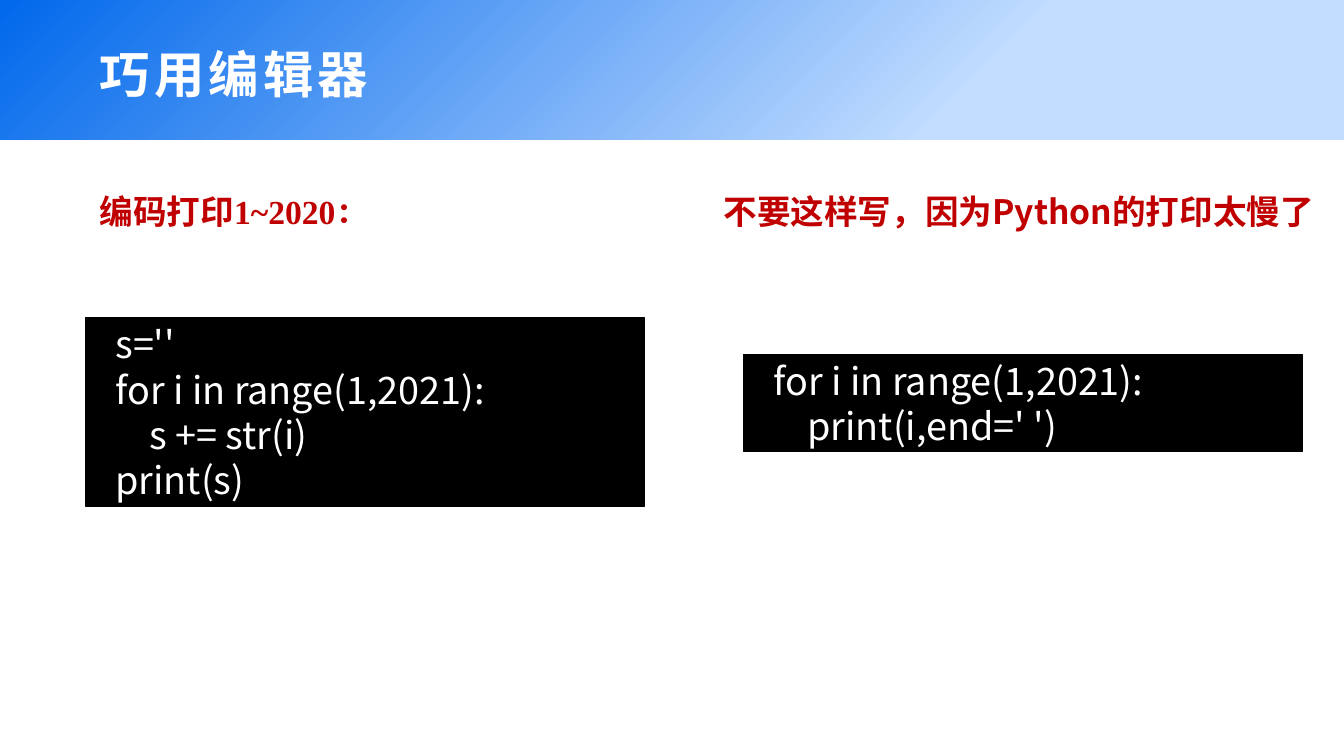
"""Build the slide on using the editor well: two ways to print 1 to 2020."""
from pptx import Presentation
from pptx.dml.color import RGBColor
from pptx.enum.shapes import MSO_SHAPE as Shape
from pptx.enum.text import MSO_ANCHOR as Anchor, MSO_AUTO_SIZE as AutoSize, PP_ALIGN as Align
from pptx.oxml.ns import qn
from pptx.util import Inches, Pt

WHITE = RGBColor(0xFF, 0xFF, 0xFF)
BLACK = RGBColor(0x00, 0x00, 0x00)
RED = RGBColor(0xC0, 0x00, 0x00)
BLUE = RGBColor(0x01, 0x68, 0xEB)
PALE_BLUE = RGBColor(0xC2, 0xDD, 0xFF)
SANS = "Noto Sans CJK SC"
SERIF = "Times New Roman"


def write(paragraph, text, size, color, bold=False, font=SANS, spacing=0, indent=0):
    paragraph.alignment = Align.LEFT
    paragraph.line_spacing = Pt(size * 1.2)
    properties = paragraph._p.get_or_add_pPr()
    properties.set("marL", "0")
    properties.set("indent", str(Inches(indent)))
    run = paragraph.add_run()
    run.text = text
    run.font.size = Pt(size)
    run.font.bold = bold
    run.font.color.rgb = color
    run.font.name = font
    run_properties = run._r.get_or_add_rPr()
    run_properties.set("spc", str(spacing * 100))
    east_asian = run_properties.makeelement(qn("a:ea"), {"typeface": font})
    run_properties.find(qn("a:latin")).addnext(east_asian)


deck = Presentation()
deck.slide_width, deck.slide_height = Inches(26.67), Inches(15)
slide = deck.slides.add_slide(deck.slide_layouts[5])

title = slide.shapes.title
title.left, title.top = Inches(1.88), Inches(0.8)
title.width, title.height = Inches(8.56), Inches(1.31)
title.text_frame.vertical_anchor = Anchor.TOP
title.text_frame.auto_size = AutoSize.NONE
write(title.text_frame.paragraphs[0], "巧用编辑器", 72, WHITE, bold=True, spacing=6)

banner = slide.shapes.add_shape(Shape.ROUNDED_RECTANGLE, 0, 0, deck.slide_width, Inches(2.76))
banner.adjustments[0] = 0
banner.shadow.inherit = False
banner.line.fill.background()
banner.fill.gradient()
banner.fill.gradient_angle = 315
for stop, position, color in zip(banner.fill.gradient_stops, (0, 0.72), (BLUE, PALE_BLUE)):
    stop.position = position
    stop.color.rgb = color
title._element.addprevious(banner._element)

headings = [
    (1.88, 10.34, 6.29, [("编码打印", SANS), ("1~2020：", SERIF)]),
    (14.26, 13.35, 0.91, [("不要这样写，因为Python的打印太慢了", SANS)]),
]
for left, width, height, parts in headings:
    heading = slide.shapes.add_textbox(Inches(left), Inches(3.74), Inches(width), Inches(height))
    heading.text_frame.word_wrap = True
    for text, font in parts:
        write(heading.text_frame.paragraphs[0], text, 48, RED, bold=True, font=font)

listings = [
    (1.69, 6.3, 3.74, ["s=''", "for i in range(1,2021):", "    s += str(i)", "print(s)"]),
    (14.75, 7.03, 1.92, ["for i in range(1,2021):", "    print(i,end=' ')"]),
]
for left, top, height, lines in listings:
    listing = slide.shapes.add_shape(
        Shape.RECTANGLE, Inches(left), Inches(top), Inches(11.09), Inches(height))
    listing.shadow.inherit = False
    listing.fill.solid()
    listing.fill.fore_color.rgb = BLACK
    listing.line.color.rgb = BLACK
    listing.line.width = Pt(1)
    code = listing.text_frame
    code.word_wrap = True
    code.vertical_anchor = Anchor.MIDDLE
    for number, line in enumerate(lines):
        paragraph = code.add_paragraph() if number else code.paragraphs[0]
        write(paragraph, line, 54, WHITE, indent=0.5)

deck.save("out.pptx")
